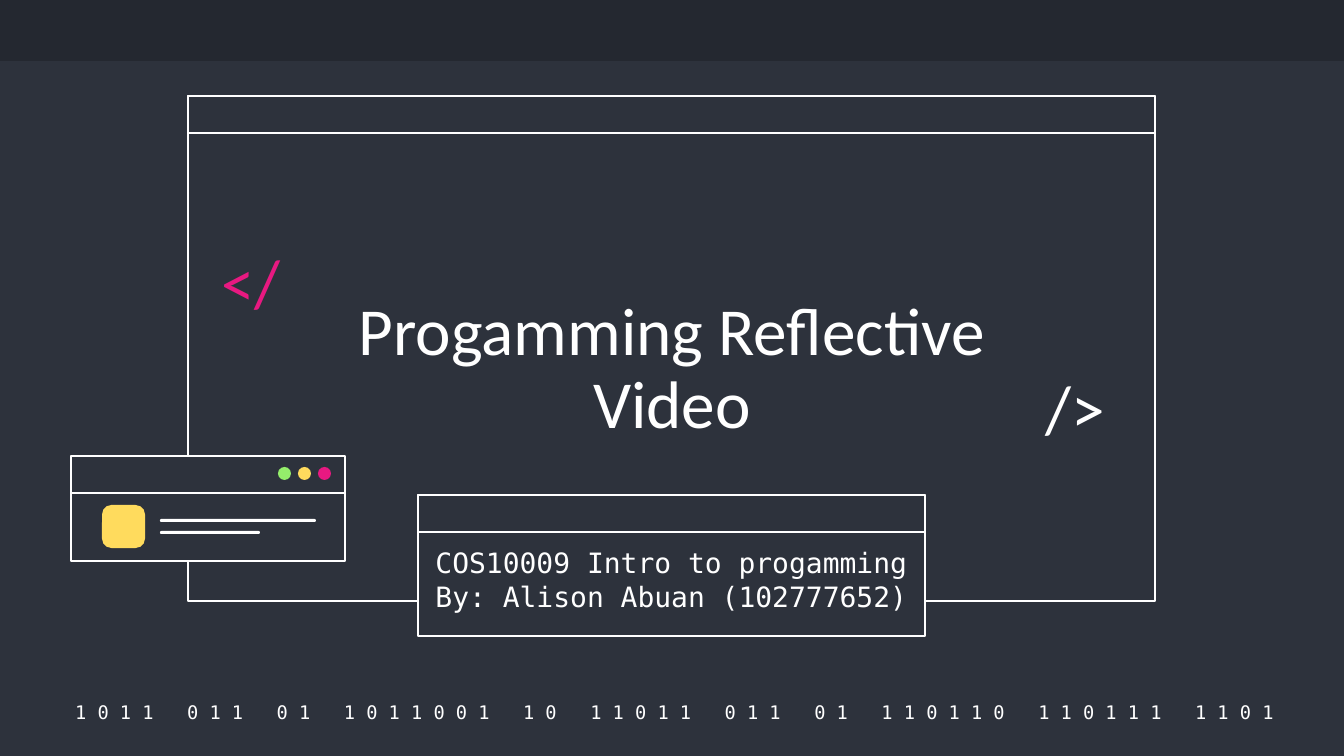
"""Build a title slide with outlined code windows and a strip of binary digits."""
from dataclasses import dataclass

from pptx import Presentation
from pptx.dml.color import RGBColor
from pptx.enum.shapes import MSO_SHAPE as Preset
from pptx.enum.text import MSO_ANCHOR as Anchor, PP_ALIGN as Align
from pptx.shapes.autoshape import Shape
from pptx.slide import Slide
from pptx.util import Emu, Pt

EMU_PER_PIXEL = 914400 / 134.4


@dataclass(frozen=True)
class Theme:
    """Colours, fonts and type sizes of the slide."""
    background: str = "2D323C"
    band: str = "242830"
    white: str = "FFFFFF"
    pink: str = "E81981"
    yellow: str = "FFDB5D"
    green: str = "94EE6B"
    sans: str = "Calibri"
    mono: str = "DejaVu Sans Mono"
    title_size: int = 36
    subtitle_size: int = 15
    digits_size: int = 10
    outline: float = 0.75


@dataclass(frozen=True)
class Box:
    """A rectangle in pixels."""
    left: int
    top: int
    width: int
    height: int

    def emu(self) -> tuple[Emu, ...]:
        """Return the rectangle in EMU."""
        sides = (self.left, self.top, self.width, self.height)
        return tuple(Emu(round(side * EMU_PER_PIXEL)) for side in sides)


@dataclass(frozen=True)
class Window:
    """An outlined window: its body and the title bar at its top."""
    body: Box
    bar: Box


@dataclass(frozen=True)
class Mark:
    """A filled shape without outline."""
    preset: Preset
    box: Box
    colour: str
    rounding: float | None = None


THEME = Theme()

MAIN_WINDOW = Window(Box(188, 96, 967, 505), Box(188, 96, 967, 37))
SUBTITLE_WINDOW = Window(Box(418, 495, 507, 141), Box(418, 495, 507, 37))
CARD_WINDOW = Window(Box(71, 493, 274, 68), Box(71, 456, 274, 37))

TOP_BAND = Mark(Preset.RECTANGLE, Box(0, 0, 1344, 61), THEME.band)
CARD_CONTENT = (
    Mark(Preset.ROUNDED_RECTANGLE, Box(102, 505, 43, 43), THEME.yellow, 0.22),
    Mark(Preset.ROUNDED_RECTANGLE, Box(160, 519, 156, 3), THEME.white, 0.5),
    Mark(Preset.ROUNDED_RECTANGLE, Box(160, 531, 100, 3), THEME.white, 0.5),
)
CARD_BUTTONS = tuple(
    Mark(Preset.OVAL, Box(278 + 20 * index, 467, 13, 13), colour)
    for index, colour in enumerate((THEME.green, THEME.yellow, THEME.pink))
)
BINARY_WORDS = "1011 011 01 1011001 10 11011 011 01 110110 110111 1101".split()


def add_mark(slide: Slide, mark: Mark) -> Shape:
    """Draw a filled shape without outline or shadow."""
    shape = slide.shapes.add_shape(mark.preset, *mark.box.emu())
    shape.shadow.inherit = False
    shape.fill.solid()
    shape.fill.fore_color.rgb = RGBColor.from_string(mark.colour)
    shape.line.fill.background()
    if mark.rounding is not None:
        shape.adjustments[0] = mark.rounding
    return shape


def add_window(slide: Slide, window: Window) -> None:
    """Draw the body and the title bar of a window."""
    for box in (window.body, window.bar):
        pane = add_mark(slide, Mark(Preset.RECTANGLE, box, THEME.background))
        pane.line.color.rgb = RGBColor.from_string(THEME.white)
        pane.line.width = Pt(THEME.outline)


def add_text(slide: Slide, box: Box, *lines: str, size: int, font: str,
             colour: str = THEME.white, align: Align = Align.CENTER,
             anchor: Anchor = Anchor.MIDDLE, spacing: float = 1.0) -> None:
    """Write one paragraph for each line in a wrapping text box."""
    frame = slide.shapes.add_textbox(*box.emu()).text_frame
    frame.word_wrap = True
    frame.vertical_anchor = anchor
    inset = Pt(7.2)
    frame.margin_left = frame.margin_right = inset
    frame.margin_top = frame.margin_bottom = inset
    for index, line in enumerate(lines):
        paragraph = frame.add_paragraph() if index else frame.paragraphs[0]
        paragraph.alignment = align
        paragraph.line_spacing = spacing
        run = paragraph.add_run()
        run.text = line
        run.font.size = Pt(size)
        run.font.name = font
        run.font.color.rgb = RGBColor.from_string(colour)


def build() -> None:
    """Compose the slide and save it."""
    deck = Presentation()
    _, _, deck.slide_width, deck.slide_height = Box(0, 0, 1344, 756).emu()
    slide = deck.slides.add_slide(deck.slide_layouts[6])
    slide.background.fill.solid()
    slide.background.fill.fore_color.rgb = RGBColor.from_string(THEME.background)

    add_mark(slide, TOP_BAND)
    digits = "   ".join(" ".join(word) for word in BINARY_WORDS)
    add_text(slide, Box(51, 699, 1246, 27), digits,
             size=THEME.digits_size, font=THEME.mono)

    add_window(slide, MAIN_WINDOW)
    add_window(slide, SUBTITLE_WINDOW)

    heading = dict(size=THEME.title_size, font=THEME.sans, spacing=0.9)
    add_text(slide, Box(208, 241, 104, 89), "</", colour=THEME.pink,
             align=Align.LEFT, **heading)
    add_text(slide, Box(1032, 367, 104, 89), "/>", align=Align.LEFT, **heading)
    add_text(slide, Box(303, 190, 738, 266), "Progamming Reflective Video",
             anchor=Anchor.BOTTOM, **heading)
    add_text(slide, Box(418, 532, 507, 104), "COS10009 Intro to progamming",
             "By: Alison Abuan (102777652)", size=THEME.subtitle_size,
             font=THEME.mono, anchor=Anchor.TOP)

    add_window(slide, CARD_WINDOW)
    for mark in CARD_CONTENT + CARD_BUTTONS:
        add_mark(slide, mark)

    deck.save("out.pptx")


build()
